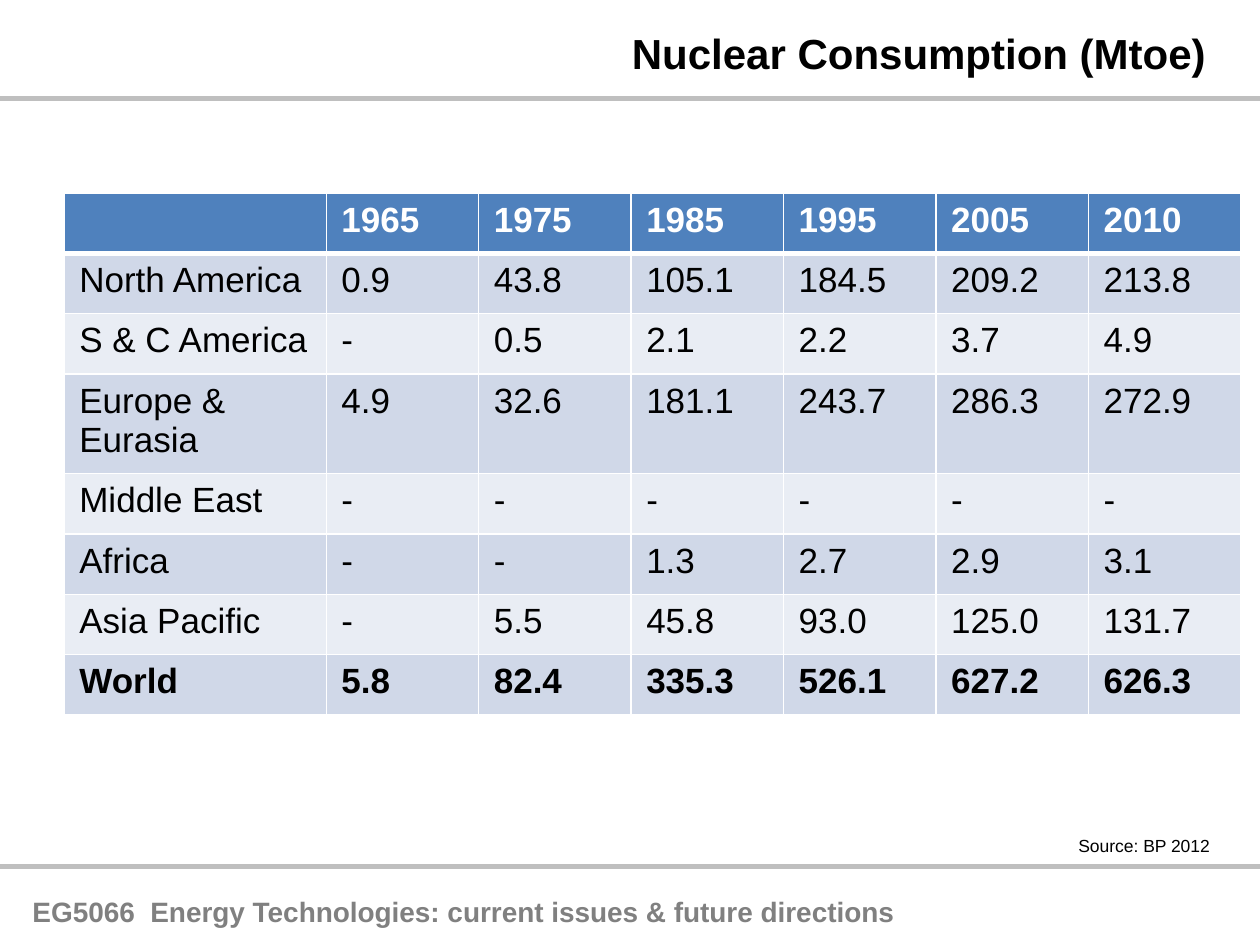
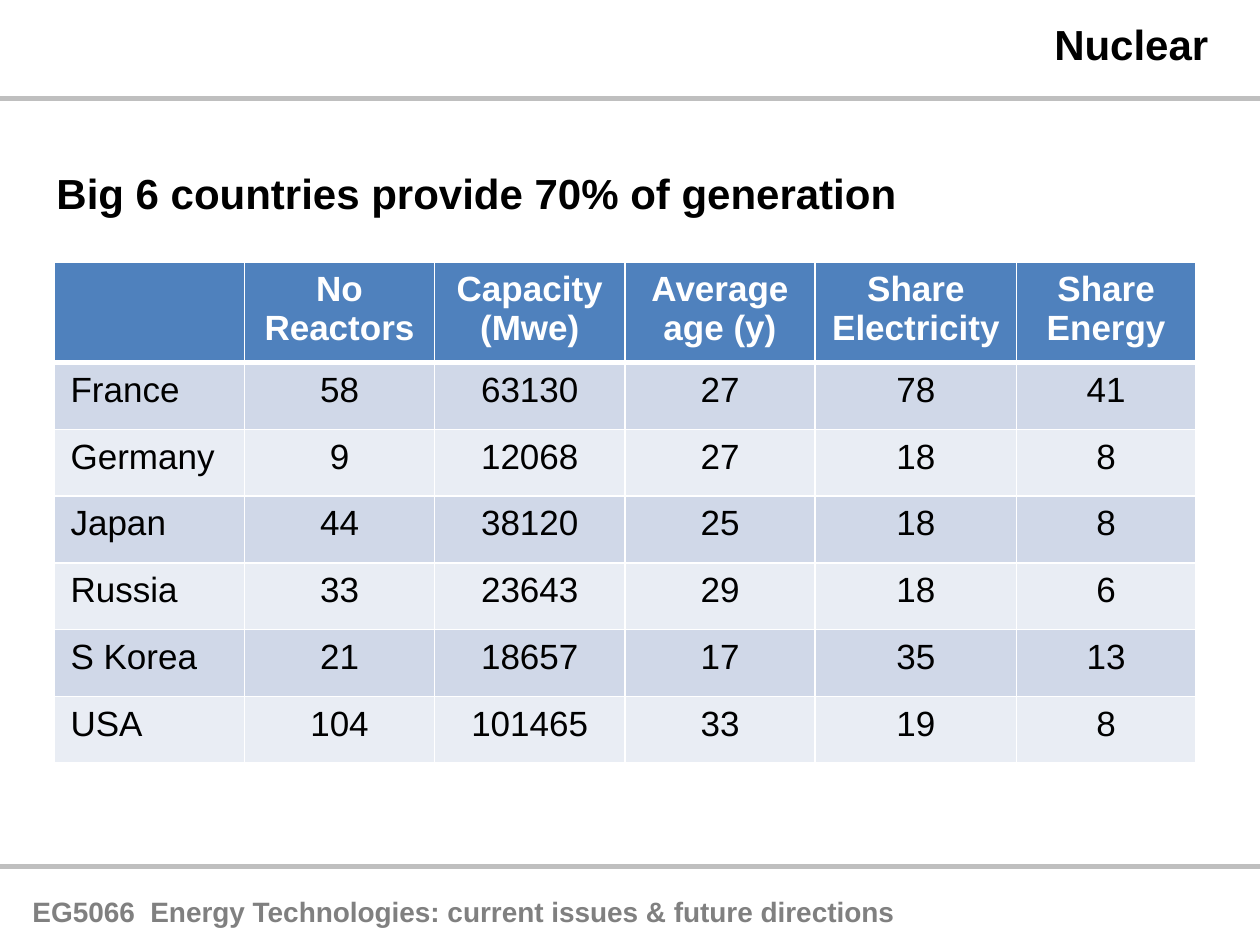
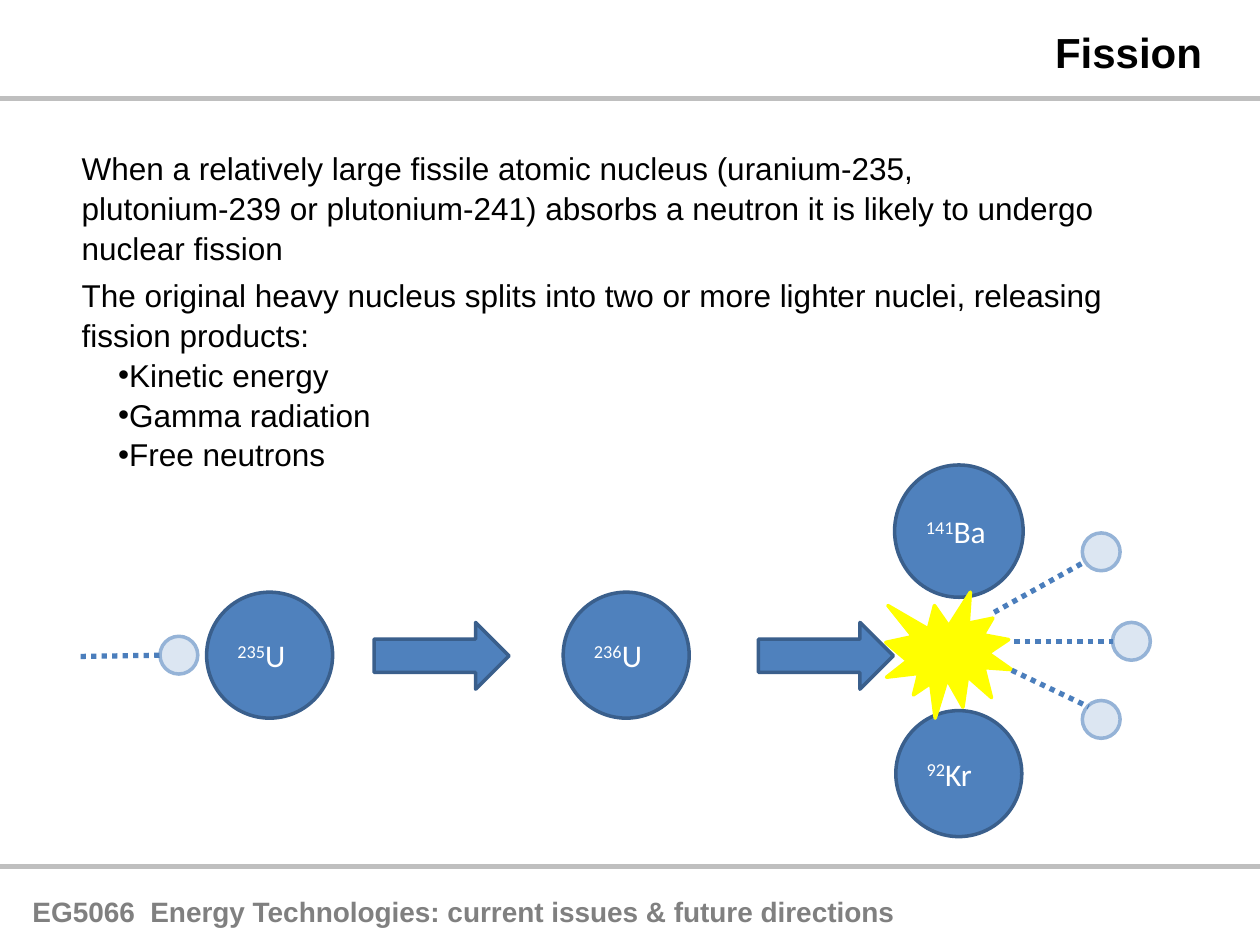
from lxml import etree
from pptx import Presentation
from pptx.dml.color import RGBColor
from pptx.enum import dml, shapes, text
from pptx.oxml import ns
from pptx.util import Inches, Pt

BLACK, WHITE, GREY, RULE = "000000", "FFFFFF", "808080", "BFBFBF"
BLUE, DARK_BLUE, DOT_BLUE = "4F81BD", "3A5F8C", "4B7EBC"
PALE_BLUE, SOFT_BLUE, YELLOW = "DCE6F2", "95B3D7", "FFFF00"
BANDS = ["D0D8E8", "E9EDF4"]
FOOTER = "EG5066  Energy Technologies: current issues & future directions"
TITLE_WIDTH = 6
SHAPE = shapes.MSO_SHAPE


def rgb(color):
    return RGBColor.from_string(color)


def add_xml(parent, tag, **attributes):
    return etree.SubElement(parent, ns.qn(tag), attributes)


class Deck:
    """Holds the shared style and the slide being built."""

    def __init__(self):
        self.deck = Presentation()
        self.deck.slide_width, self.deck.slide_height = Inches(10), Inches(7.5)
        self.page = None

    def new_page(self, title, right, top):
        """Start a slide whose title ends at the given right edge."""
        self.page = self.deck.slides.add_slide(self.deck.slide_layouts[5])
        self.label(FOOTER, 0.16, 7.05, 7.13, 0.37, 16, GREY, bold=True, wrap=False)
        for y in (6.88, 0.78):
            self.line((0, y), (10, y), RULE)
        heading = self.page.shapes.title
        heading.left, heading.top = Inches(right - TITLE_WIDTH), Inches(top)
        heading.width, heading.height = Inches(TITLE_WIDTH), Inches(0.5)
        frame = heading.text_frame
        frame.text = title
        frame.auto_size = text.MSO_AUTO_SIZE.NONE
        frame.vertical_anchor = text.MSO_ANCHOR.TOP
        frame.paragraphs[0].alignment = text.PP_ALIGN.RIGHT
        self.style(frame, 24, bold=True)

    def style(self, frame, size, color=BLACK, bold=False, font="Arial"):
        for para in frame.paragraphs:
            for run in para.runs:
                run.font.name, run.font.size, run.font.bold = font, Pt(size), bold
                run.font.color.rgb = rgb(color)

    def label(self, words, left, top, width, height, size, color=BLACK,
              bold=False, wrap=True):
        box = self.page.shapes.add_textbox(
            Inches(left), Inches(top), Inches(width), Inches(height))
        frame = box.text_frame
        frame.word_wrap = wrap
        frame.text = words
        self.style(frame, size, color, bold)
        return frame

    def body(self, words, top, width, height, bullets=()):
        """Add running text, followed by any bulleted lines."""
        frame = self.label("\n".join([words, *bullets]), 0.55, top, width, height, 18)
        for para in frame.paragraphs:
            para.line_spacing = 1.05
        for para in frame.paragraphs[1:]:
            properties = para._p.get_or_add_pPr()
            properties.set("marL", str(Inches(0.29)))
            properties.set("indent", "0")
            add_xml(properties, "a:buFont", typeface="Arial")
            add_xml(properties, "a:buChar", char="•")

    def line(self, start, end, color, dash=None):
        connector = self.page.shapes.add_connector(
            shapes.MSO_CONNECTOR.STRAIGHT, *map(Inches, (*start, *end)))
        connector.line.color.rgb = rgb(color)
        connector.line.width = Pt(3)
        if dash:
            connector.line.dash_style = dash
        add_xml(connector._element.spPr, "a:effectLst")

    def shape(self, kind, left, top, width, height, fill=BLUE, outline=DARK_BLUE):
        shape = self.page.shapes.add_shape(
            kind, Inches(left), Inches(top), Inches(width), Inches(height))
        shape.shadow.inherit = False
        shape.fill.solid()
        shape.fill.fore_color.rgb = rgb(fill)
        shape.line.color.rgb = rgb(outline)
        shape.line.width = Pt(2)
        return shape

    def nucleus(self, mass, symbol, left, top, width=1, height=1):
        frame = self.shape(SHAPE.OVAL, left, top, width, height).text_frame
        para = frame.paragraphs[0]
        para.alignment = text.PP_ALIGN.LEFT
        for words in (mass, symbol):
            para.add_run().text = words
        self.style(frame, 18, WHITE, font="Calibri")
        para.runs[0]._r.get_or_add_rPr().set("baseline", "30000")

    def borders(self, cell, top, bottom):
        properties = cell._tc.get_or_add_tcPr()
        for side, width in zip("LRTB", (1, 1, top, bottom)):
            edge = add_xml(properties, f"a:ln{side}", w=str(Pt(width)))
            add_xml(add_xml(edge, "a:solidFill"), "a:srgbClr", val=WHITE)

    def table(self, rows, left, top, widths, row_height, inset,
              centred=False, total=False):
        """Add a banded table; total makes the last row bold."""
        table = self.page.shapes.add_table(
            len(rows), len(widths), Inches(left), Inches(top),
            Inches(sum(widths)), Inches(row_height * len(rows))).table
        for column, width in zip(table.columns, widths):
            column.width = Inches(width)
        for r, row in enumerate(rows):
            table.rows[r].height = Inches(row_height)
            header = r == 0
            bold = header or (total and r == len(rows) - 1)
            for c, words in enumerate(row):
                cell = table.cell(r, c)
                cell.text = words
                cell.margin_left = cell.margin_right = Inches(inset)
                cell.margin_top = cell.margin_bottom = Inches(inset / 2)
                self.borders(cell, 3 if r == 1 else 1, 3 if header else 1)
                cell.fill.solid()
                cell.fill.fore_color.rgb = rgb(BLUE if header else BANDS[(r - 1) % 2])
                self.style(cell.text_frame, 20, WHITE if header else BLACK, bold)
                if centred and c > 0:
                    for para in cell.text_frame.paragraphs:
                        para.alignment = text.PP_ALIGN.CENTER


CONSUMPTION = [
    ["", "1965", "1975", "1985", "1995", "2005", "2010"],
    ["North America", "0.9", "43.8", "105.1", "184.5", "209.2", "213.8"],
    ["S & C America", "-", "0.5", "2.1", "2.2", "3.7", "4.9"],
    ["Europe & Eurasia", "4.9", "32.6", "181.1", "243.7", "286.3", "272.9"],
    ["Middle East", "-", "-", "-", "-", "-", "-"],
    ["Africa", "-", "-", "1.3", "2.7", "2.9", "3.1"],
    ["Asia Pacific", "-", "5.5", "45.8", "93.0", "125.0", "131.7"],
    ["World", "5.8", "82.4", "335.3", "526.1", "627.2", "626.3"],
]
COUNTRIES = [
    ["", "No Reactors", "Capacity\n(Mwe)", "Average age (y)",
     "Share Electricity", "Share Energy"],
    ["France", "58", "63130", "27", "78", "41"],
    ["Germany", "9", "12068", "27", "18", "8"],
    ["Japan", "44", "38120", "25", "18", "8"],
    ["Russia", "33", "23643", "29", "18", "6"],
    ["S Korea", "21", "18657", "17", "35", "13"],
    ["USA", "104", "101465", "33", "19", "8"],
]


def consumption_page(deck):
    deck.new_page("Nuclear Consumption (Mtoe)", 9.67, 0.17)
    deck.table(CONSUMPTION, 0.51, 1.53, [2.08] + [1.21] * 6, 0.48, 0.12, total=True)
    deck.label("Source: BP 2012", 8.46, 6.58, 1.25, 0.27, 10, wrap=False)


def countries_page(deck):
    deck.new_page("Nuclear", 9.69, 0.1)
    deck.table(COUNTRIES, 0.43, 2.08, [1.51] * 4 + [1.6, 1.42], 0.53, 0.13,
               centred=True)
    deck.label("Big 6 countries provide 70% of generation",
               0.35, 1.28, 6.93, 0.5, 24, bold=True, wrap=False)


def fission_page(deck):
    deck.new_page("Fission", 9.64, 0.16)
    deck.body("When a relatively large fissile atomic nucleus (uranium-235, "
              "plutonium-239 or plutonium-241) absorbs a neutron it is likely "
              "to undergo nuclear fission", 1.12, 8.36, 1.01)
    deck.body("The original heavy nucleus splits into two or more lighter nuclei, "
              "releasing fission products:", 2.13, 9.06, 1.62,
              ["Kinetic energy", "Gamma radiation", "Free neutrons"])
    deck.nucleus("235", "U", 1.64, 4.7)
    deck.nucleus("236", "U", 4.47, 4.7)
    deck.nucleus("141", "Ba", 7.1, 3.69, 1.02, 1.05)
    deck.nucleus("92", "Kr", 7.11, 5.64)
    for left, top in [(1.27, 5.05), (8.59, 4.23), (8.83, 4.94), (8.59, 5.56)]:
        deck.shape(SHAPE.OVAL, left, top, 0.3, 0.3, PALE_BLUE, SOFT_BLUE)
    for left in (2.97, 6.02):
        deck.shape(SHAPE.RIGHT_ARROW, left, 4.94, 1.07, 0.53)
    deck.shape(SHAPE.EXPLOSION1, 7.03, 4.7, 1, 1, YELLOW, YELLOW)
    neutron_paths = [((0.64, 5.21), (1.27, 5.2)), ((8.03, 5.32), (8.64, 5.61)),
                     ((7.89, 4.86), (8.59, 4.47)), ((8.05, 5.09), (8.83, 5.09))]
    for start, end in neutron_paths:
        deck.line(start, end, DOT_BLUE, dml.MSO_LINE.ROUND_DOT)


def main():
    deck = Deck()
    consumption_page(deck)
    countries_page(deck)
    fission_page(deck)
    deck.deck.save("out.pptx")


if __name__ == "__main__":
    main()
